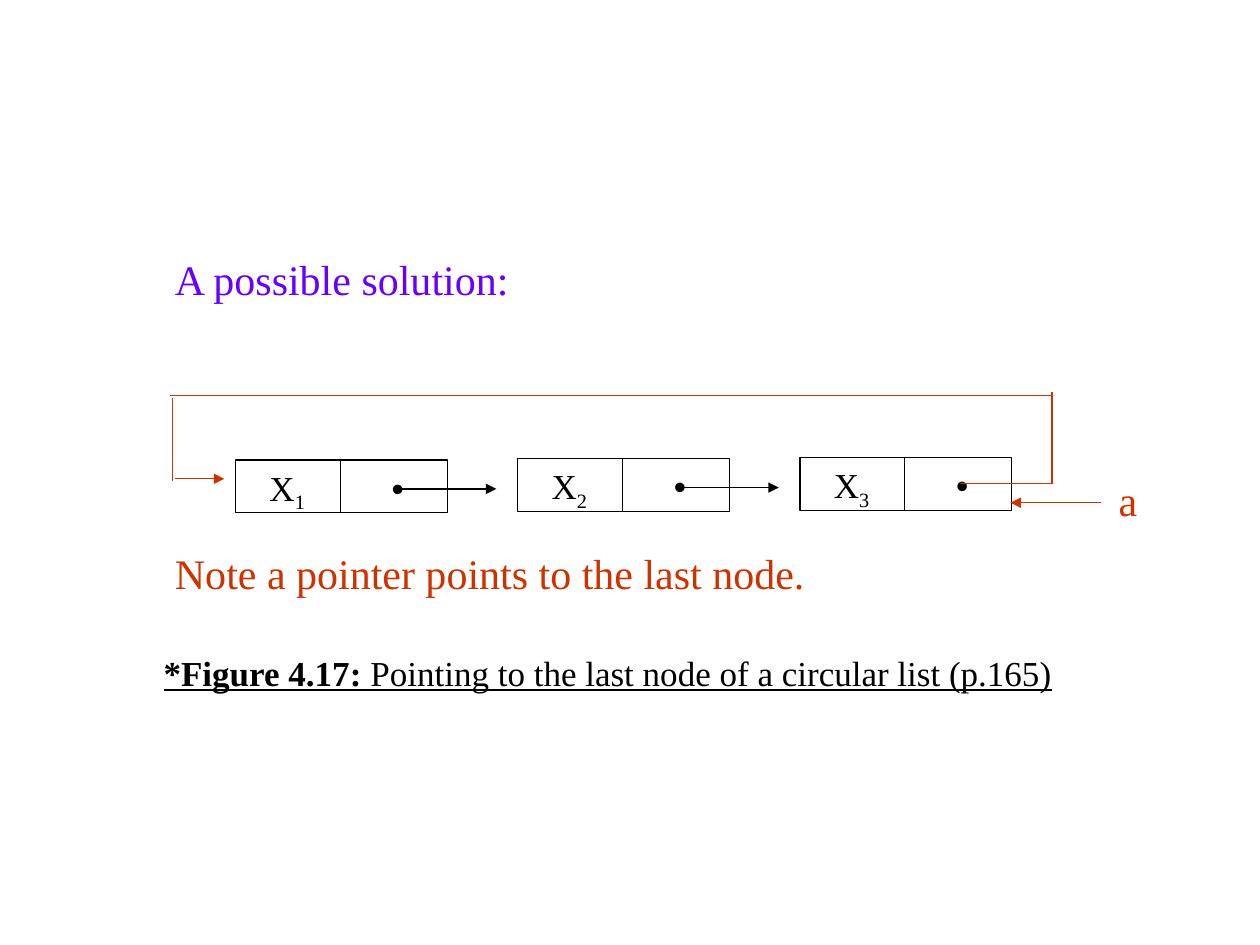
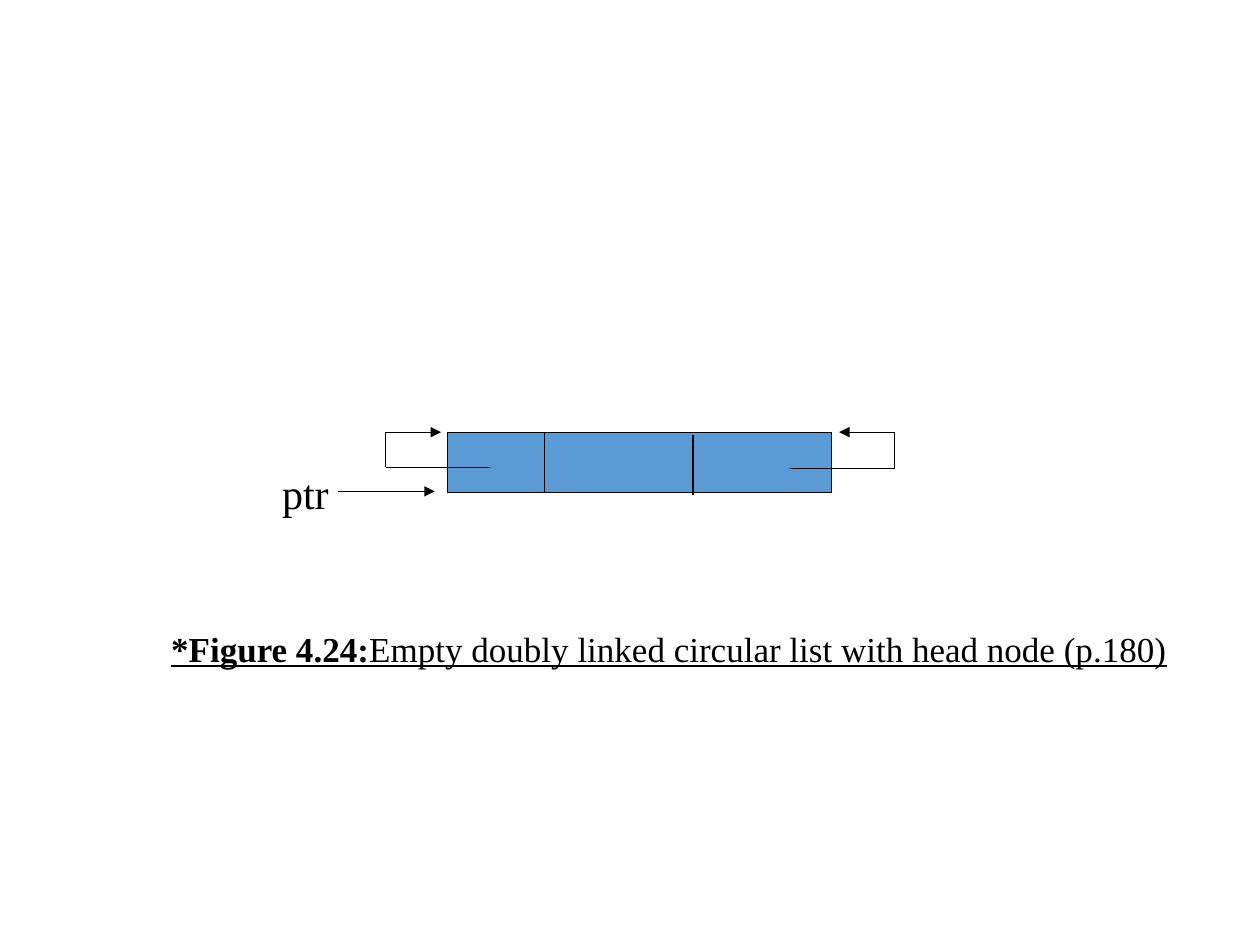
from itertools import pairwise

from lxml.etree import SubElement
from pptx import Presentation
from pptx.dml.color import RGBColor
from pptx.enum.shapes import MSO_CONNECTOR as Connector, MSO_SHAPE as Shape
from pptx.oxml.ns import qn
from pptx.util import Inches, Pt

BLACK, RUST, VIOLET, BLUE = "000000", "CC3300", "6600FF", "5B9BD5"


def rgb(value):
    """Turn a hex string into a colour."""
    return RGBColor.from_string(value)


class Figure:
    """Holds the shared style and the slide being drawn."""

    FONT = "Times New Roman"
    BULLET_FONT = "Arial"
    LINE_WIDTH = Pt(0.75)

    def __init__(self, deck):
        """Start with an empty deck."""
        self.deck = deck

    def new_slide(self):
        """Add a blank slide and draw on it."""
        self.slide = self.deck.slides.add_slide(self.deck.slide_layouts[6])
        self.shapes = self.slide.shapes

    def open_group(self):
        """Draw the next elements inside a new group."""
        self.shapes = self.slide.shapes.add_group_shape().shapes

    def close_group(self):
        """Draw the next elements directly on the slide."""
        self.shapes = self.slide.shapes

    def box(self, left, top, width, height, fill=None):
        """Draw an outlined rectangle."""
        rect = self.shapes.add_shape(Shape.RECTANGLE, Inches(left), Inches(top),
                                     Inches(width), Inches(height))
        rect.shadow.inherit = False
        rect.line.color.rgb = rgb(BLACK)
        rect.line.width = self.LINE_WIDTH
        if fill:
            rect.fill.solid()
            rect.fill.fore_color.rgb = rgb(fill)
        else:
            rect.fill.background()

    def line(self, start, end, color=BLACK, arrow=False):
        """Draw a straight line, with an arrowhead at its end if wanted."""
        x1, y1, x2, y2 = (Inches(value) for value in (*start, *end))
        link = self.shapes.add_connector(Connector.STRAIGHT, x1, y1, x2, y2)
        link.line.color.rgb = rgb(color)
        link.line.width = self.LINE_WIDTH
        if arrow:
            SubElement(link.line._get_or_add_ln(), qn("a:tailEnd"), type="triangle")
        SubElement(link._element.spPr, qn("a:effectLst"))

    def bent_arrow(self, *points):
        """Join the points and put an arrowhead on the last line."""
        for start, end in pairwise(points):
            self.line(start, end, arrow=end == points[-1])

    def text(self, left, top, width, height, words, size=24, color=BLACK, tab=None):
        """Add one line of text and return its paragraph."""
        frame = self.shapes.add_textbox(Inches(left), Inches(top),
                                        Inches(width), Inches(height)).text_frame
        frame.word_wrap = False
        paragraph = frame.paragraphs[0]
        if tab:
            stops = SubElement(paragraph._p.get_or_add_pPr(), qn("a:tabLst"))
            SubElement(stops, qn("a:tab"), pos=str(Inches(tab)), algn="l")
        paragraph.font.name = self.FONT
        paragraph.font.size = Pt(size)
        paragraph.font.color.rgb = rgb(color)
        paragraph.add_run().text = words
        return paragraph

    def caption(self, left, top, width, number, description):
        """Add an underlined figure caption with a bold number."""
        paragraph = self.text(left, top, width, 0.44, number, size=20)
        paragraph.font.underline = True
        paragraph.runs[0].font.bold = True
        paragraph.add_run().text = description

    def node(self, left, top, index):
        """Draw a list node with a data field and a link field."""
        self.box(left, top, 1.68, 0.42)
        self.line((left + 0.83, top), (left + 0.83, top + 0.42))
        label = self.text(left + 0.17, top, 1.27, 0.48, "X", size=20, tab=0.97)
        subscript = label.add_run()
        subscript.text = index
        subscript._r.get_or_add_rPr().set("baseline", "-25000")
        label.add_run().text = "\t"
        bullet = label.add_run()
        bullet.text = "•"
        bullet.font.name = self.BULLET_FONT


def circular_list(figure):
    """Draw the circular list whose pointer is at the last node."""
    figure.new_slide()
    for position in range(3):
        left, top = 1.87 + 2.24 * position, 3.65 - 0.01 * position
        linked = position < 2
        if linked:
            figure.open_group()
        figure.node(left, top, str(position + 1))
        if linked:
            figure.line((left + 1.29, top + 0.23), (left + 2.07, top + 0.23), arrow=True)
        figure.close_group()

    for start, end, arrow in (
        ((7.62, 3.84), (8.35, 3.84), False),
        ((8.35, 3.84), (8.35, 3.11), False),
        ((8.35, 3.14), (1.35, 3.14), False),
        ((1.37, 3.16), (1.37, 3.82), False),
        ((1.39, 3.8), (1.78, 3.8), True),
        ((8.74, 3.99), (8.02, 3.99), True),
    ):
        figure.line(start, end, RUST, arrow)
    figure.text(8.78, 3.72, 0.35, 0.5, "a", color=RUST)

    figure.caption(1.2, 5.12, 7.26, "*Figure 4.17: ",
                   "Pointing to the last node of a circular list (p.165)")
    figure.text(1.29, 1.96, 2.86, 0.5, "A possible solution:", color=VIOLET)
    figure.text(1.29, 4.3, 5.2, 0.5, "Note a pointer points to the last node.", color=RUST)


def empty_doubly_linked_list(figure):
    """Draw the head node whose two links point back to itself."""
    figure.new_slide()
    figure.open_group()
    figure.box(3.55, 3.43, 3.05, 0.48, BLUE)
    for x, top in ((4.32, 3.43), (5.5, 3.45)):
        figure.line((x, top), (x, top + 0.48))
    figure.bent_arrow((6.27, 3.72), (7.1, 3.72), (7.1, 3.43), (6.66, 3.43))
    figure.bent_arrow((3.89, 3.71), (3.06, 3.71), (3.06, 3.43), (3.5, 3.43))
    figure.close_group()

    figure.line((2.68, 3.9), (3.45, 3.9), arrow=True)
    figure.text(2.14, 3.66, 0.57, 0.5, "ptr")
    figure.caption(1.26, 4.93, 8.11, "*Figure 4.24:",
                   "Empty doubly linked circular list with head node (p.180)")


def main():
    """Build both slides and save them."""
    deck = Presentation()
    deck.slide_width, deck.slide_height = Inches(10), Inches(7.5)
    figure = Figure(deck)
    circular_list(figure)
    empty_doubly_linked_list(figure)
    deck.save("out.pptx")


if __name__ == "__main__":
    main()
